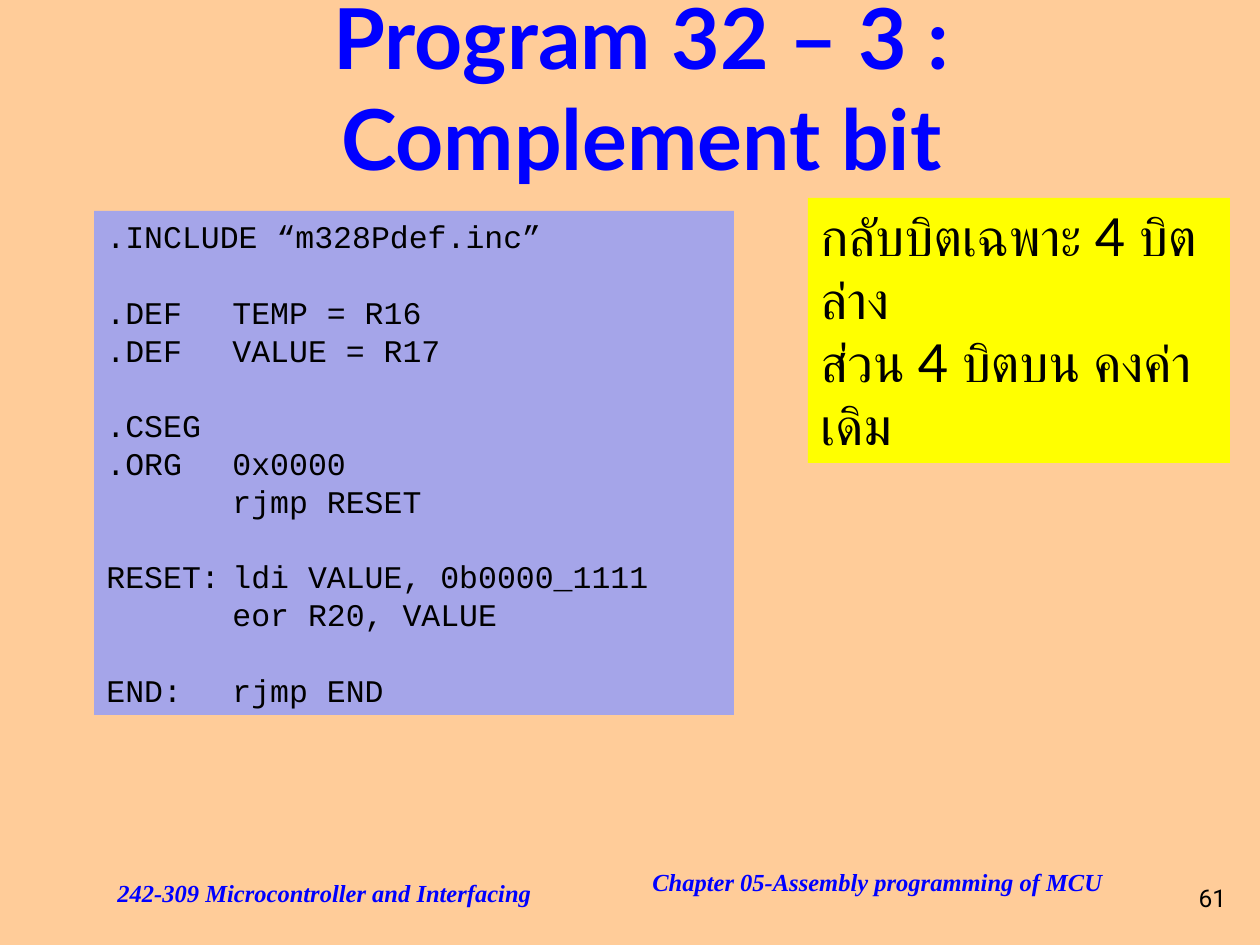
import lxml.etree
import pptx
import pptx.dml.color
import pptx.enum.shapes
import pptx.enum.text
import pptx.oxml.ns
import pptx.util

RGBColor = pptx.dml.color.RGBColor
PP_ALIGN = pptx.enum.text.PP_ALIGN
ANCHOR = pptx.enum.text.MSO_ANCHOR
AUTO_SIZE = pptx.enum.text.MSO_AUTO_SIZE

PEACH = RGBColor(0xFF, 0xCC, 0x99)
LILAC = RGBColor(0xA5, 0xA5, 0xE9)
YELLOW = RGBColor(0xFF, 0xFF, 0x00)
BLUE = RGBColor(0x00, 0x00, 0xFF)
BLACK = RGBColor(0x00, 0x00, 0x00)

EMU_PER_PX = 914400 // 126
CODE_LINE = pptx.util.Pt(21.6)
CODE_TAB = pptx.util.Inches(1)

TITLE = {"name": "Lato", "size": 48, "bold": True, "color": BLUE}
CODE = {"name": "Courier New", "size": 18, "color": BLACK}
NOTE = {"name": "Lato", "size": 30, "color": BLACK}
FOOTER = {"name": "Times New Roman", "size": 14, "bold": True,
          "italic": True, "color": BLUE}
NUMBER = {"name": "Roboto", "size": 14, "color": BLACK}

CODE_GROUPS = [
    [".INCLUDE “m328Pdef.inc”"],
    [".DEF\tTEMP = R16", ".DEF\tVALUE = R17"],
    [".CSEG", ".ORG\t0x0000", "\trjmp RESET"],
    ["RESET:\tldi VALUE, 0b0000_1111", "\teor R20, VALUE"],
    ["END:\trjmp END"],
]
NOTE_LINES = ["กลับบิตเฉพาะ 4 บิตล่าง", "ส่วน 4 บิตบน คงค่าเดิม"]


def px(*lengths):
    return [length * EMU_PER_PX for length in lengths]


def style_font(font, text_format):
    for key, value in text_format.items():
        if key == "color":
            font.color.rgb = value
        elif key == "size":
            font.size = pptx.util.Pt(value)
        else:
            setattr(font, key, value)


def add_paragraph(frame, text, text_format, first, align=PP_ALIGN.LEFT):
    para = frame.paragraphs[0] if first else frame.add_paragraph()
    para.alignment = align
    span = para.add_run()
    span.text = text
    style_font(span.font, text_format)
    return para


def add_tab_stop(para, position):
    qn = pptx.oxml.ns.qn
    properties = para._p.get_or_add_pPr()
    tabs = lxml.etree.SubElement(properties, qn("a:tabLst"))
    lxml.etree.SubElement(tabs, qn("a:tab"), pos=str(position), algn="l")


def add_label(page, place, text, text_format, align=PP_ALIGN.LEFT,
              anchor=ANCHOR.TOP, wrap=True):
    frame = page.shapes.add_textbox(*px(*place)).text_frame
    frame.word_wrap = wrap
    frame.vertical_anchor = anchor
    add_paragraph(frame, text, text_format, True, align)


def add_panel(page, place, color):
    """Add a filled rectangle that grows with its text; return its frame."""
    box = page.shapes.add_shape(
        pptx.enum.shapes.MSO_SHAPE.RECTANGLE, *px(*place))
    box.shadow.inherit = False
    box.fill.solid()
    box.fill.fore_color.rgb = color
    box.line.fill.background()
    frame = box.text_frame
    frame.word_wrap = True
    frame.auto_size = AUTO_SIZE.SHAPE_TO_FIT_TEXT
    frame.vertical_anchor = ANCHOR.TOP
    return frame


def add_code(page, place, groups):
    """Add the listing, with one line of space between its groups."""
    frame = add_panel(page, place, LILAC)
    for group_index, group in enumerate(groups):
        for line_index, line in enumerate(group):
            first = group_index == 0 and line_index == 0
            para = add_paragraph(frame, line, CODE, first)
            add_tab_stop(para, CODE_TAB)
            para.line_spacing = CODE_LINE
            if line_index == 0 and not first:
                para.space_before = CODE_LINE


def add_note(page, place, lines):
    frame = add_panel(page, place, YELLOW)
    for index, line in enumerate(lines):
        add_paragraph(frame, line, NOTE, index == 0)


def main():
    deck = pptx.Presentation()
    deck.slide_width, deck.slide_height = px(1260, 945)
    page = deck.slides.add_slide(deck.slide_layouts[6])
    page.background.fill.solid()
    page.background.fill.fore_color.rgb = PEACH

    add_label(page, (1176, 861, 73, 73), "61", NUMBER,
              PP_ALIGN.CENTER, ANCHOR.MIDDLE, wrap=False)
    add_label(page, (640, 861, 620, 84),
              "Chapter 05-Assembly programming of MCU", FOOTER)
    add_code(page, (94, 211, 640, 504), CODE_GROUPS)
    add_label(page, (105, 872, 475, 63),
              "242-309 Microcontroller and Interfacing", FOOTER)
    add_label(page, (116, 8, 1051, 157), "Program 32 – 3 : Complement bit",
              TITLE, PP_ALIGN.CENTER, ANCHOR.MIDDLE)
    add_note(page, (808, 198, 422, 265), NOTE_LINES)

    deck.save("out.pptx")


if __name__ == "__main__":
    main()
